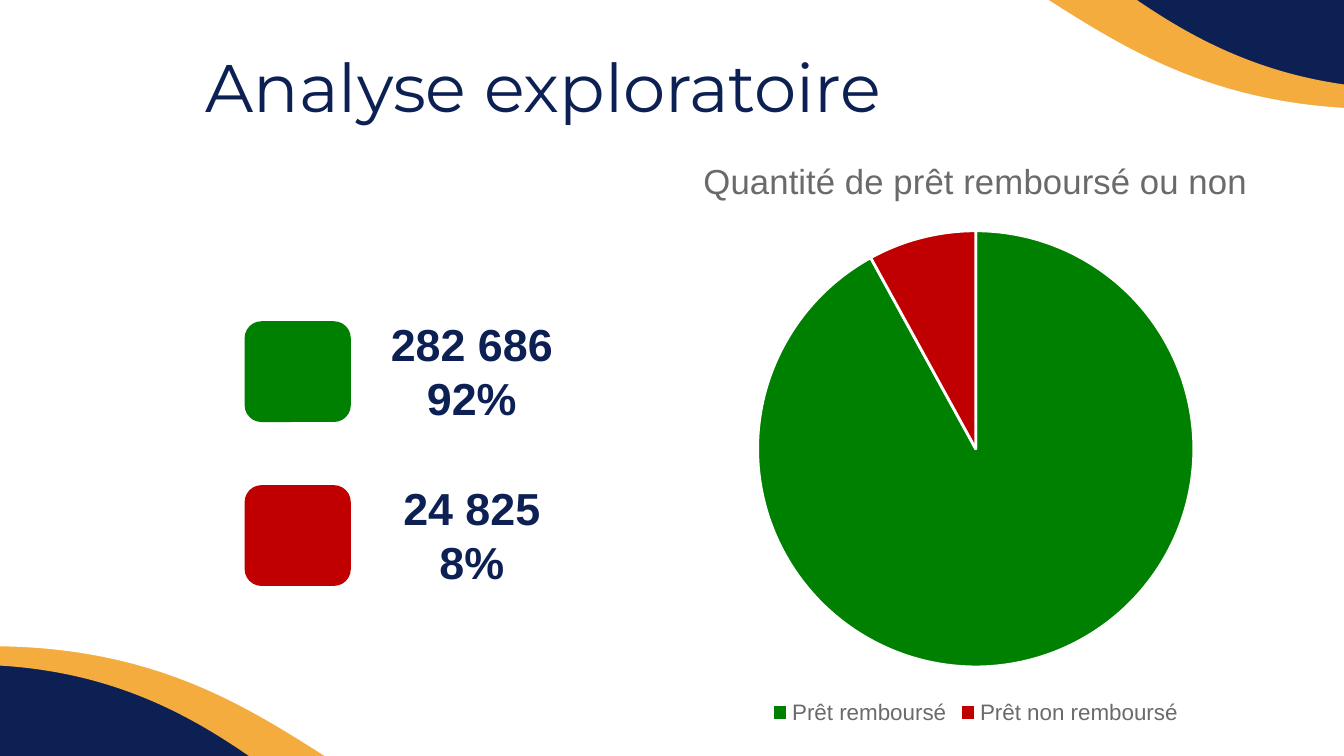
import pptx
import pptx.chart.data
import pptx.dml.color
import pptx.enum.chart
import pptx.enum.shapes
import pptx.enum.text
import pptx.util
from dataclasses import dataclass

Inches = pptx.util.Inches
Pt = pptx.util.Pt
Shape = pptx.enum.shapes.MSO_SHAPE
Align = pptx.enum.text.PP_ALIGN
Anchor = pptx.enum.text.MSO_ANCHOR


@dataclass(frozen=True)
class Theme:
    navy: str = "0C2054"
    orange: str = "F3AC3D"
    white: str = "FFFFFF"
    grey: str = "6A6A6A"
    repaid: str = "008000"
    unpaid: str = "C00000"
    heading_font: str = "Montserrat"
    body_font: str = "Arial"
    heading_size: float = 36
    figure_size: float = 24
    chart_title_size: float = 18.6
    legend_size: float = 12


class SlideBuilder:
    def __init__(self, slide, theme):
        self.slide = slide
        self.theme = theme

    def rgb(self, color):
        return pptx.dml.color.RGBColor.from_string(color)

    def style(self, font, name, size, color, bold=False):
        font.name, font.size, font.bold = name, Pt(size), bold
        font.color.rgb = self.rgb(color)

    def background(self, color):
        fill = self.slide.background.fill
        fill.solid()
        fill.fore_color.rgb = self.rgb(color)

    def block(self, shapes, kind, box, color):
        block = shapes.add_shape(kind, *map(Inches, box))
        block.shadow.inherit = False
        block.fill.solid()
        block.fill.fore_color.rgb = self.rgb(color)
        block.line.fill.background()
        return block

    def wave(self, box, color, rotation):
        wave = self.block(self.slide.shapes, Shape.FLOWCHART_DOCUMENT, box, color)
        wave.rotation = rotation
        wave._element.spPr.xfrm.set("flipH", "1")

    def title(self, text, box):
        title = self.slide.shapes.title
        title.left, title.top, title.width, title.height = map(Inches, box)
        # The waves must stay behind the title
        self.slide.shapes._spTree.append(title._element)
        frame = title.text_frame
        frame.auto_size = pptx.enum.text.MSO_AUTO_SIZE.NONE
        frame.vertical_anchor = Anchor.MIDDLE
        frame.margin_left = frame.margin_right = Inches(0.1)
        frame.margin_top = frame.margin_bottom = Inches(0.1)
        heading = frame.paragraphs[0]
        heading.alignment = Align.CENTER
        run = heading.add_run()
        run.text = text
        self.style(run.font, self.theme.heading_font, self.theme.heading_size,
                   self.theme.navy)

    def key_figure(self, top, color, lines):
        group = self.slide.shapes.add_group_shape()
        figures = group.shapes.add_textbox(*map(Inches, (2.8, top, 1.42, 0.91)))
        frame = figures.text_frame
        frame.word_wrap = True
        for index, line in enumerate(lines):
            paragraph = frame.add_paragraph() if index else frame.paragraphs[0]
            paragraph.alignment = Align.CENTER
            run = paragraph.add_run()
            run.text = line
            self.style(run.font, self.theme.body_font, self.theme.figure_size,
                       self.theme.navy, bold=True)
        swatch = self.block(group.shapes, Shape.ROUNDED_RECTANGLE,
                            (1.82, top + 0.08, 0.79, 0.75), color)
        swatch.adjustments[0] = 0.167

    def pie(self, box, name, slices):
        theme = self.theme
        shares = pptx.chart.data.CategoryChartData()
        shares.categories = [label for label, _, _ in slices]
        shares.add_series(name, [share for _, share, _ in slices])
        chart = self.slide.shapes.add_chart(
            pptx.enum.chart.XL_CHART_TYPE.PIE, *map(Inches, box), shares).chart
        self.style(chart.font, theme.body_font, theme.legend_size, theme.grey)

        chart.has_title = True
        run = chart.chart_title.text_frame.paragraphs[0].add_run()
        run.text = name
        self.style(run.font, theme.body_font, theme.chart_title_size, theme.grey)
        chart.chart_title.include_in_layout = False

        chart.has_legend = True
        chart.legend.position = pptx.enum.chart.XL_LEGEND_POSITION.BOTTOM
        chart.legend.include_in_layout = False
        self.style(chart.legend.font, theme.body_font, theme.legend_size, theme.grey)

        plot = chart.plots[0]
        plot.vary_by_categories = True
        for index, (_, _, color) in enumerate(slices):
            wedge = plot.series[0].points[index].format
            wedge.fill.solid()
            wedge.fill.fore_color.rgb = self.rgb(color)
            wedge.line.color.rgb = self.rgb(theme.white)
            wedge.line.width = Pt(1.5)


def main():
    deck = pptx.Presentation()
    # Widescreen, 16:9
    deck.slide_width = Inches(10)
    deck.slide_height = deck.slide_width * 9 // 16
    theme = Theme()
    builder = SlideBuilder(deck.slides.add_slide(deck.slide_layouts[5]), theme)

    # Corner waves: orange over the navy background, then white
    builder.background(theme.navy)
    for box, color, rotation in (
        ((-0.24, -2.4, 5.6, 9.16), theme.orange, 0),
        ((4.93, -1.15, 5.6, 9.16), theme.orange, 180),
        ((-0.07, -1.39, 5.6, 7.73), theme.white, 0),
        ((4.68, -0.72, 5.6, 7.73), theme.white, 180),
    ):
        builder.wave(box, color, rotation)

    # Title
    builder.title("Analyse exploratoire", (-0.16, 0.38, 8.41, 0.51))

    # Share of loans
    builder.pie((4.64, 0.99, 5.24, 4.44), "Quantité de prêt remboursé ou non", (
        ("Prêt remboursé", 92, theme.repaid),
        ("Prêt non remboursé", 8, theme.unpaid),
    ))

    # Key figures
    builder.key_figure(3.53, theme.unpaid, ("24 825", "8%"))
    builder.key_figure(2.31, theme.repaid, ("282 686", "92%"))

    deck.save("out.pptx")


if __name__ == "__main__":
    main()
